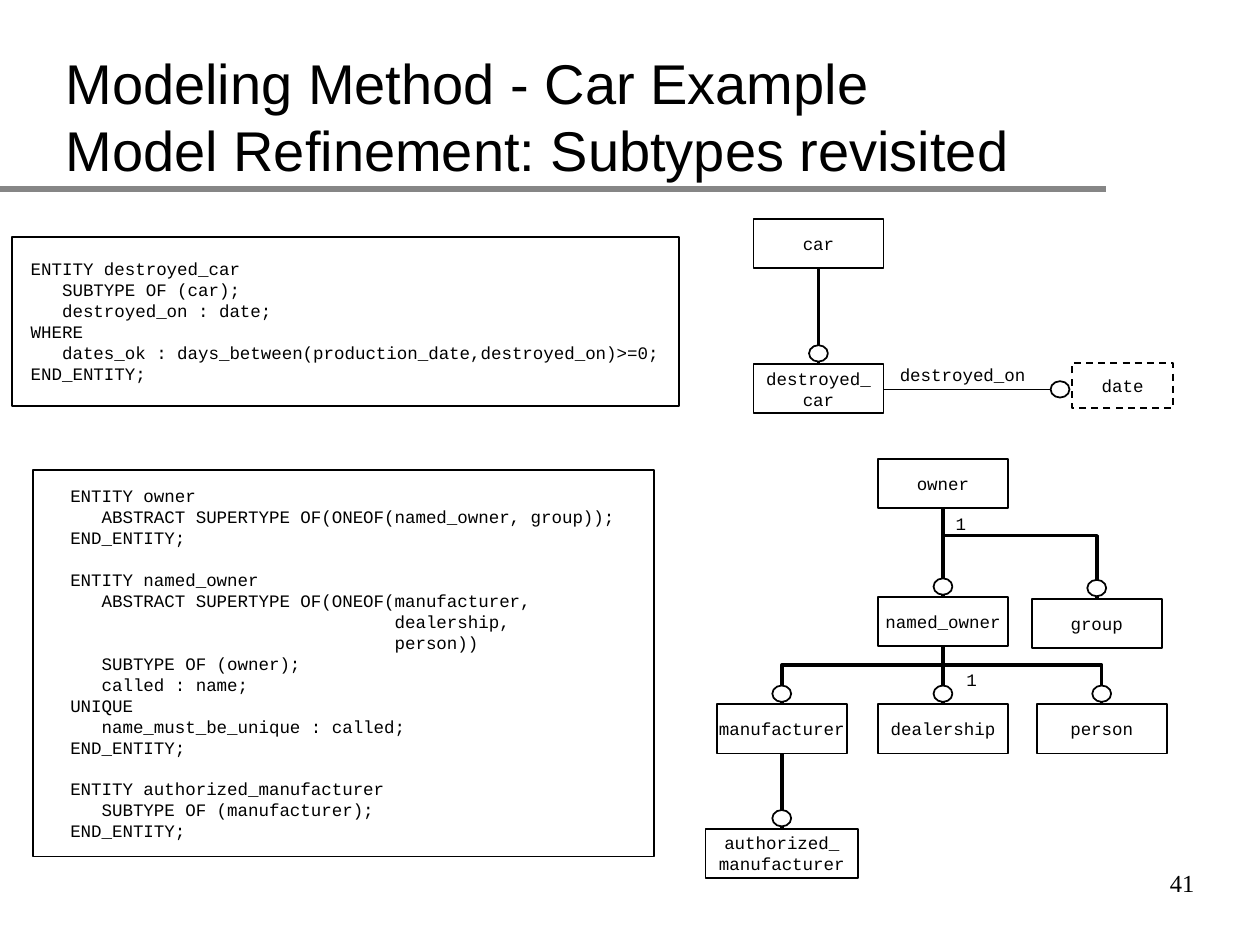
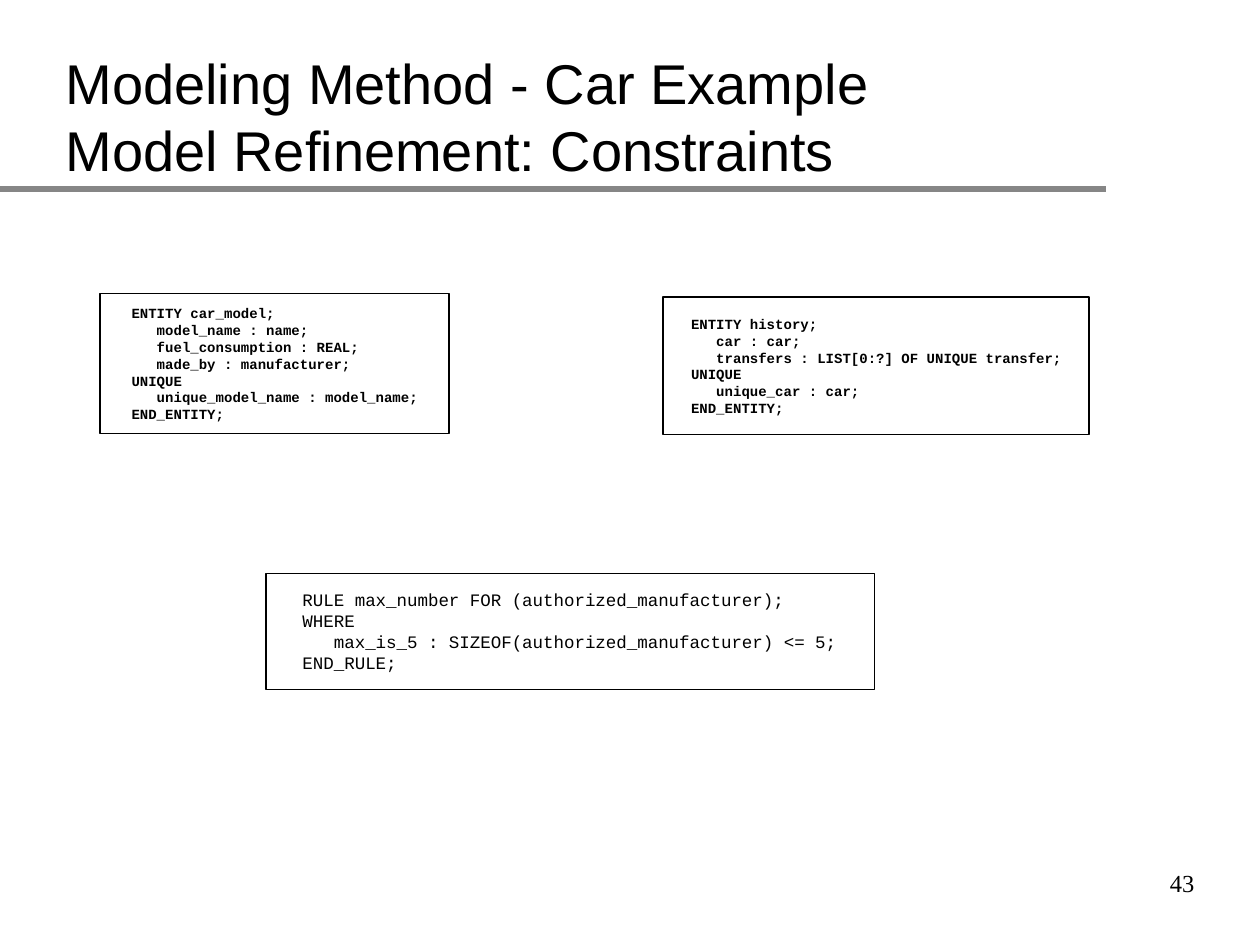
import dataclasses

import lxml.etree
import pptx
import pptx.dml.color
import pptx.enum.dml
import pptx.enum.shapes
import pptx.enum.text
import pptx.oxml.ns
import pptx.util

Cm, Pt = pptx.util.Cm, pptx.util.Pt
Align, Anchor = pptx.enum.text.PP_ALIGN, pptx.enum.text.MSO_ANCHOR
Shape = pptx.enum.shapes.MSO_SHAPE


@dataclasses.dataclass(frozen=True)
class Theme:
    """Colours, fonts, type sizes (pt) and shared measures (cm)."""
    ink: str = "000000"
    paper: str = "FFFFFF"
    rule: str = "868686"
    title_font: str = "Arial"
    code_font: str = "Courier New"
    number_font: str = "Times New Roman"
    title_size: int = 32
    number_size: int = 14
    code_size: int = 10
    small_code_size: int = 8
    line_pitch: float = 1.2
    character_width: float = 0.6
    thin: int = 1
    thick: int = 2
    rule_width: int = 4
    inset_x: float = 0.25
    inset_y: float = 0.13
    node_width: float = 2.62
    node_height: float = 0.99
    circle_width: float = 0.38
    circle_height: float = 0.33


@dataclasses.dataclass(frozen=True)
class Box:
    """A rectangle in centimetres."""
    left: float
    top: float
    width: float
    height: float

    def lengths(self):
        """Return the four sides as lengths."""
        return Cm(self.left), Cm(self.top), Cm(self.width), Cm(self.height)


THEME = Theme()
TITLE_BOX = Box(1.07, 0.74, 21.59, 3.07)
NUMBER_BOX = Box(19.05, 17.15, 5.28, 1.27)
RULE_Y, RULE_END = 3.81, 22.3

DESTROYED_CAR_CODE = """ENTITY destroyed_car
   SUBTYPE OF (car);
   destroyed_on : date;
WHERE
   dates_ok : days_between(production_date,destroyed_on)>=0;
END_ENTITY;"""

OWNER_CODE = """ENTITY owner
   ABSTRACT SUPERTYPE OF(ONEOF(named_owner, group));
END_ENTITY;

ENTITY named_owner
   ABSTRACT SUPERTYPE OF(ONEOF(manufacturer,
                               dealership,
                               person))
   SUBTYPE OF (owner);
   called : name;
UNIQUE
   name_must_be_unique : called;
END_ENTITY;

ENTITY authorized_manufacturer
   SUBTYPE OF (manufacturer);
END_ENTITY;"""

CAR_MODEL_CODE = """ENTITY car_model;
   model_name : name;
   fuel_consumption : REAL;
   made_by : manufacturer;
UNIQUE
   unique_model_name : model_name;
END_ENTITY;"""

HISTORY_CODE = """ENTITY history;
   car : car;
   transfers : LIST[0:?] OF UNIQUE transfer;
UNIQUE
   unique_car : car;
END_ENTITY;"""

MAX_NUMBER_CODE = """RULE max_number FOR (authorized_manufacturer);
WHERE
   max_is_5 : SIZEOF(authorized_manufacturer) <= 5;
END_RULE;"""


def color(value):
    """Turn a hexadecimal string into a colour."""
    return pptx.dml.color.RGBColor.from_string(value)


def format_run(run, font, size, bold=False):
    """Give a run its font, size and ink."""
    run.font.name, run.font.size, run.font.bold = font, Pt(size), bold
    run.font.color.rgb = color(THEME.ink)


def set_frame(frame, anchor, wrap=False):
    """Set the insets, anchor and wrapping of a text frame."""
    frame.margin_left = frame.margin_right = Cm(THEME.inset_x)
    frame.margin_top = frame.margin_bottom = Cm(THEME.inset_y)
    frame.vertical_anchor, frame.word_wrap = anchor, wrap
    frame.auto_size = pptx.enum.text.MSO_AUTO_SIZE.NONE


def write_code(frame, text, size=THEME.code_size, bold=False, align=Align.LEFT):
    """Write one paragraph a line, turning blank lines into spacing."""
    pitch = Pt(size * THEME.line_pitch)
    paragraph = frame.paragraphs[0]
    for block_index, block in enumerate(text.split("\n\n")):
        for line_index, line in enumerate(block.split("\n")):
            if block_index or line_index:
                paragraph = frame.add_paragraph()
            if block_index and not line_index:
                paragraph.space_before = pitch
            paragraph.alignment, paragraph.line_spacing = align, pitch
            run = paragraph.add_run()
            run.text = line
            format_run(run, THEME.code_font, size, bold)


def add_outlined(slide, kind, box, dashed=False):
    """Add a white preset shape with a thin outline."""
    shape = slide.shapes.add_shape(kind, *box.lengths())
    shape.shadow.inherit = False
    shape.fill.solid()
    shape.fill.fore_color.rgb = color(THEME.paper)
    shape.line.color.rgb = color(THEME.ink)
    shape.line.width = Pt(THEME.thin)
    if dashed:
        shape.line.dash_style = pptx.enum.dml.MSO_LINE.DASH
    return shape


def add_line(slide, start, end, width=THEME.thick, ink=THEME.ink):
    """Add a straight connector between two points."""
    connector = slide.shapes.add_connector(
        pptx.enum.shapes.MSO_CONNECTOR.STRAIGHT, *map(Cm, start + end))
    connector.line.color.rgb = color(ink)
    connector.line.width = Pt(width)
    properties = connector.element.find(pptx.oxml.ns.qn("p:spPr"))
    lxml.etree.SubElement(properties, pptx.oxml.ns.qn("a:effectLst"))


def add_branch(slide, points):
    """Add an open, angled line through the points."""
    corners = [(Cm(x), Cm(y)) for x, y in points]
    builder = slide.shapes.build_freeform(*corners[0])
    builder.add_line_segments(corners[1:], close=False)
    branch = builder.convert_to_shape()
    branch.shadow.inherit = False
    branch.fill.background()
    branch.line.color.rgb = color(THEME.ink)
    branch.line.width = Pt(THEME.thick)


def add_code_text(slide, text, center_x, center_y, size=THEME.code_size, bold=False):
    """Add a block of code, sized by its characters, around a centre."""
    lines = text.split("\n")
    width = Pt(max(map(len, lines)) * size * THEME.character_width).cm + 2 * THEME.inset_x
    height = Pt(len(lines) * size * THEME.line_pitch).cm + 2 * THEME.inset_y
    box = Box(center_x - width / 2, center_y - height / 2, width, height)
    frame = slide.shapes.add_textbox(*box.lengths()).text_frame
    set_frame(frame, Anchor.TOP)
    write_code(frame, text, size, bold)


def add_code_panel(slide, box, text, size=THEME.code_size, bold=False):
    """Add an outlined panel with code centred in it as a block."""
    add_outlined(slide, Shape.RECTANGLE, box)
    add_code_text(slide, text, box.left + box.width / 2, box.top + box.height / 2, size, bold)


def add_circle(slide, left, top):
    """Add the small circle that ends a relation."""
    add_outlined(slide, Shape.OVAL, Box(left, top, THEME.circle_width, THEME.circle_height))


def add_node(slide, text, center_x, top, width=THEME.node_width,
             height=THEME.node_height, dashed=False, subtype=False):
    """Add an entity box, with a circle above it for a subtype."""
    box = Box(center_x - width / 2, top, width, height)
    frame = add_outlined(slide, Shape.RECTANGLE, box, dashed).text_frame
    set_frame(frame, Anchor.MIDDLE)
    write_code(frame, text, align=Align.CENTER)
    if subtype:
        add_circle(slide, center_x - THEME.circle_width / 2, top - THEME.circle_width)


def add_car_diagram(slide, box):
    """Draw the car, its subtype and the attribute of the subtype."""
    center = box.left + THEME.node_width / 2
    subtype_top = box.top + 2.92
    attribute_y = box.top + 3.43
    circle_left = box.left + 5.99
    add_line(slide, (center, box.top + THEME.node_height), (center, subtype_top))
    add_line(slide, (box.left + THEME.node_width, attribute_y),
             (circle_left, attribute_y), THEME.thin)
    add_node(slide, "car", center, box.top)
    add_node(slide, "destroyed_\ncar", center, subtype_top, subtype=True)
    add_circle(slide, circle_left, attribute_y - THEME.circle_height / 2)
    add_node(slide, "date", box.left + box.width - 1.02, box.top + 2.9, 2.03, 0.91, dashed=True)
    add_code_text(slide, "destroyed_on", box.left + 4.22, box.top + 3.13)


def add_owner_diagram(slide, box):
    """Draw the tree of owner subtypes."""
    left, middle, group, right = (box.left + x for x in (1.54, 4.79, 7.89, 7.99))
    top, named, leaves, authorized = (box.top + y for y in (0, 2.79, 4.95, 7.46))
    group_top = named + 0.03
    upper_branch, lower_branch = box.top + 1.55, box.top + 4.16
    for center, parent, child in ((middle, top, named), (middle, named, leaves),
                                  (left, leaves, authorized)):
        add_line(slide, (center, parent + THEME.node_height), (center, child))
    add_branch(slide, [(middle, upper_branch), (group, upper_branch), (group, group_top)])
    add_branch(slide, [(left, leaves), (left, lower_branch),
                       (right, lower_branch), (right, leaves)])
    add_node(slide, "owner", middle, top)
    for name, center, node_top in (
            ("named_owner", middle, named), ("group", group, group_top),
            ("manufacturer", left, leaves), ("dealership", middle, leaves),
            ("person", right, leaves)):
        add_node(slide, name, center, node_top, subtype=True)
    add_node(slide, "authorized_\nmanufacturer", left, authorized, 3.07, subtype=True)
    add_code_text(slide, "1", middle + 0.36, upper_branch - 0.25)
    add_code_text(slide, "1", middle + 0.58, lower_branch + 0.29)


def add_base_slide(presentation, subtitle, number):
    """Add a slide with its rule, two-line title and page number."""
    slide = presentation.slides.add_slide(presentation.slide_layouts[5])
    add_line(slide, (0, RULE_Y), (RULE_END, RULE_Y), THEME.rule_width, THEME.rule)

    title = slide.shapes.title
    title.left, title.top, title.width, title.height = TITLE_BOX.lengths()
    set_frame(title.text_frame, Anchor.BOTTOM, wrap=True)
    paragraph = title.text_frame.paragraphs[0]
    paragraph.alignment = Align.LEFT
    paragraph.line_spacing = Pt(THEME.title_size * THEME.line_pitch)
    for index, text in enumerate(("Modeling Method - Car Example", subtitle)):
        if index:
            paragraph.add_line_break()
        run = paragraph.add_run()
        run.text = text
        format_run(run, THEME.title_font, THEME.title_size)

    frame = slide.shapes.add_textbox(*NUMBER_BOX.lengths()).text_frame
    set_frame(frame, Anchor.MIDDLE, wrap=True)
    frame.paragraphs[0].alignment = Align.RIGHT
    run = frame.paragraphs[0].add_run()
    run.text = str(number)
    format_run(run, THEME.number_font, THEME.number_size)
    return slide


def add_subtypes_slide(presentation):
    """Add the slide on subtypes, with code beside its diagrams."""
    slide = add_base_slide(presentation, "Model Refinement: Subtypes revisited", 41)
    add_code_panel(slide, Box(0.25, 4.78, 13.44, 3.4), DESTROYED_CAR_CODE)
    add_code_panel(slide, Box(0.66, 9.47, 12.52, 7.8), OWNER_CODE)
    add_car_diagram(slide, Box(15.19, 4.42, 8.46, 3.91))
    add_owner_diagram(slide, Box(14.22, 9.25, 9.3, 8.45))


def add_constraints_slide(presentation):
    """Add the slide on constraints, with three panels of code."""
    slide = add_base_slide(presentation, "Model Refinement: Constraints", 43)
    add_code_panel(slide, Box(2.01, 5.92, 7.04, 2.82), CAR_MODEL_CODE,
                   THEME.small_code_size, bold=True)
    add_code_panel(slide, Box(13.36, 5.99, 8.59, 2.77), HISTORY_CODE,
                   THEME.small_code_size, bold=True)
    add_code_panel(slide, Box(5.36, 11.56, 12.27, 2.34), MAX_NUMBER_CODE)


def main():
    """Build and save the presentation."""
    presentation = pptx.Presentation()
    presentation.slide_width, presentation.slide_height = Cm(25.4), Cm(19.05)
    add_subtypes_slide(presentation)
    add_constraints_slide(presentation)
    presentation.save("out.pptx")


if __name__ == "__main__":
    main()
